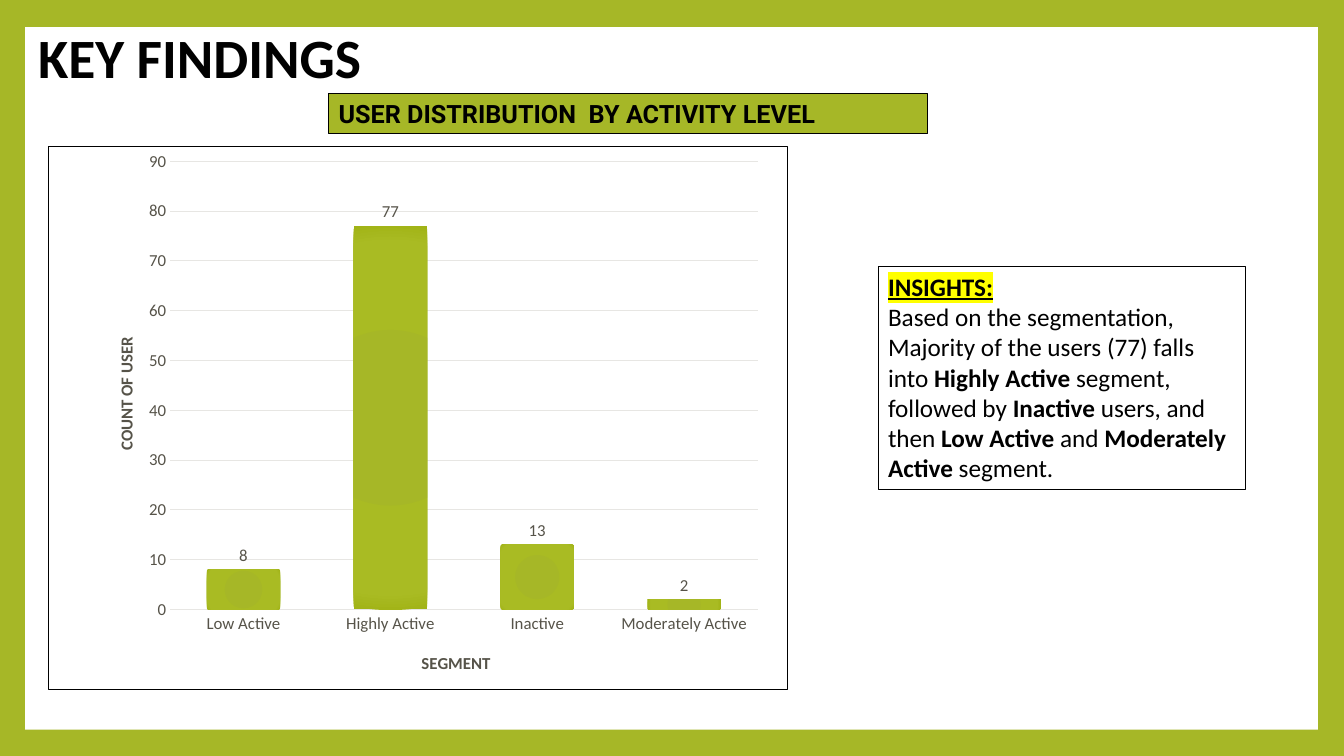
from pptx import Presentation
from pptx.chart.data import CategoryChartData
from pptx.dml.color import RGBColor
from pptx.enum.chart import XL_CHART_TYPE, XL_LABEL_POSITION, XL_TICK_MARK
from pptx.enum.shapes import MSO_SHAPE
from pptx.enum.text import MSO_ANCHOR, MSO_AUTO_SIZE, PP_ALIGN
from pptx.oxml import parse_xml
from pptx.oxml.ns import nsdecls, qn
from pptx.util import Inches, Pt

COLORS = {"green": "A6B727", "bright": "A9BB23", "deep": "A1B316", "white": "FFFFFF",
          "black": "000000", "grey": "565349", "grid": "E7E6E3", "yellow": "FFFF00"}
BOLD = {"bold": True}
TITLE = [[("KEY FINDINGS", BOLD)]]
BANNER = [[("USER DISTRIBUTION  BY ACTIVITY LEVEL", BOLD)]]
INSIGHTS = [
    [("INSIGHTS:", {"bold": True, "underline": True, "highlight": "yellow"})],
    [("Based on the segmentation, Majority of the users (77) falls into ", {}),
     ("Highly Active ", BOLD), ("segment, followed by ", {}), ("Inactive", BOLD),
     (" users, and then ", {}), ("Low Active", BOLD), (" and ", {}),
     ("Moderately Active", BOLD), (" segment.", {})],
]
USERS = {"Low Active": 8, "Highly Active": 77, "Inactive": 13, "Moderately Active": 2}
BAR_STOPS = [(0, "green"), (90, "bright"), (100, "deep")]
# Shares of the chart's width and height
PLOT = {"x": 0.164, "y": 0.027, "w": 0.795, "h": 0.825}
SEGMENT_TITLE = {"x": 0.5, "y": 0.925}
COUNT_TITLE = {"x": 0.085, "y": 0.345}


def rgb(name):
    return RGBColor.from_string(COLORS[name])


def style_font(font, size, color="black", name="Calibri", bold=False, underline=False):
    font.size, font.name = Pt(size), name
    font.bold, font.underline = bold, underline
    font.color.rgb = rgb(color)


def write(frame, paragraphs, size, name="Calibri", anchor=MSO_ANCHOR.TOP, spacing=None):
    frame.word_wrap = True
    frame.vertical_anchor = anchor
    for index, spans in enumerate(paragraphs):
        para = frame.add_paragraph() if index else frame.paragraphs[0]
        para.alignment = PP_ALIGN.LEFT
        para.line_spacing = spacing
        for text, look in spans:
            look = dict(look)
            highlight = look.pop("highlight", None)
            span = para.add_run()
            span.text = text
            style_font(span.font, size, name=name, **look)
            if highlight:
                mark = parse_xml(f'<a:highlight {nsdecls("a")}>'
                                 f'<a:srgbClr val="{COLORS[highlight]}"/></a:highlight>')
                span.font._element.find(qn("a:solidFill")).addnext(mark)


def add_panel(page, place, fill, border=None):
    panel = page.shapes.add_shape(MSO_SHAPE.RECTANGLE, *map(Inches, place))
    panel.shadow.inherit = False
    panel.fill.solid()
    panel.fill.fore_color.rgb = rgb(fill)
    if border:
        panel.line.color.rgb = rgb(border)
        panel.line.width = Pt(0.75)
    else:
        panel.line.fill.background()
    return panel


def set_layout(element, shares, inner=False):
    """Place a chart part by shares of the chart's size."""
    old = element.find(qn("c:layout"))
    if old is not None:
        element.remove(old)
    target = '<c:layoutTarget val="inner"/>' if inner else ""
    modes = "".join(f'<c:{key}Mode val="edge"/>' for key in "xy")
    values = "".join(f'<c:{key} val="{share}"/>' for key, share in shares.items())
    layout = parse_xml(f'<c:layout {nsdecls("c")}><c:manualLayout>{target}{modes}{values}'
                       '</c:manualLayout></c:layout>')
    text = element.find(qn("c:tx"))
    if text is None:
        element.insert(0, layout)
    else:
        text.addnext(layout)


def style_axis(axis, title, place):
    axis.major_tick_mark = axis.minor_tick_mark = XL_TICK_MARK.NONE
    style_font(axis.tick_labels.font, 12, "grey")
    frame = axis.axis_title.text_frame
    frame.text = title
    style_font(frame.paragraphs[0].runs[0].font, 12, "grey", bold=True)
    set_layout(axis.axis_title._element, place)
    return frame


def add_user_chart(page, place):
    data = CategoryChartData()
    data.categories = USERS.keys()
    data.add_series("Series 1", USERS.values())
    chart = page.shapes.add_chart(XL_CHART_TYPE.COLUMN_CLUSTERED,
                                  *map(Inches, place), data).chart
    chart.has_title = chart.has_legend = False
    style_font(chart.font, 10)
    chart._chartSpace.find(qn("c:chart")).addnext(parse_xml(
        f'<c:spPr {nsdecls("c", "a")}><a:noFill/><a:ln w="{Pt(0.75)}"><a:solidFill>'
        f'<a:srgbClr val="{COLORS["black"]}"/></a:solidFill></a:ln></c:spPr>'))

    style_axis(chart.category_axis, "SEGMENT", SEGMENT_TITLE)
    count_frame = style_axis(chart.value_axis, "COUNT OF USER", COUNT_TITLE)
    count_frame._txBody.bodyPr.set("rot", "-5400000")
    counts = chart.value_axis
    counts.minimum_scale, counts.maximum_scale, counts.major_unit = 0, 90, 10
    counts.format.line.fill.background()
    for line in (chart.category_axis.format.line, counts.major_gridlines.format.line):
        line.color.rgb = rgb("grid")
        line.width = Pt(0.75)

    plot = chart.plots[0]
    plot.gap_width, plot.overlap, plot.vary_by_categories = 100, -24, False
    plot.has_data_labels = True
    plot.data_labels.show_value = True
    plot.data_labels.position = XL_LABEL_POSITION.OUTSIDE_END
    style_font(plot.data_labels.font, 12, "grey")
    set_layout(chart._chartSpace.find(".//" + qn("c:plotArea")), PLOT, inner=True)

    bars = plot.series[0]
    bars.invert_if_negative = False
    stops = "".join(f'<a:gs pos="{share * 1000}"><a:srgbClr val="{COLORS[color]}"/></a:gs>'
                    for share, color in BAR_STOPS)
    corner = " ".join(f'{side}="100000"' for side in "ltrb")
    bars._element.get_or_add_spPr().insert(0, parse_xml(
        f'<a:gradFill {nsdecls("a")}><a:gsLst>{stops}</a:gsLst>'
        f'<a:path path="circle"><a:fillToRect {corner}/></a:path></a:gradFill>'))


def main():
    deck = Presentation()
    deck.slide_width, deck.slide_height = Inches(13.33), Inches(7.5)
    page = deck.slides.add_slide(deck.slide_layouts[6])
    page.background.fill.solid()
    page.background.fill.fore_color.rgb = rgb("green")

    add_panel(page, (0.25, 0.27, 12.82, 6.97), "white")
    title = page.shapes.add_textbox(*map(Inches, (0.28, 0.28, 10.96, 0.65)))
    write(title.text_frame, TITLE, 39.6, anchor=MSO_ANCHOR.MIDDLE, spacing=0.9)

    banner = add_panel(page, (3.26, 0.93, 5.94, 0.4), "green", "black")
    write(banner.text_frame, BANNER, 18, name="Roboto")
    add_user_chart(page, (0.48, 1.45, 7.34, 5.4))
    insights = add_panel(page, (8.71, 2.64, 3.64, 2.22), "white", "black")
    write(insights.text_frame, INSIGHTS, 18)
    for panel in (banner, insights):
        panel.text_frame.auto_size = MSO_AUTO_SIZE.SHAPE_TO_FIT_TEXT
    deck.save("out.pptx")


if __name__ == "__main__":
    main()
